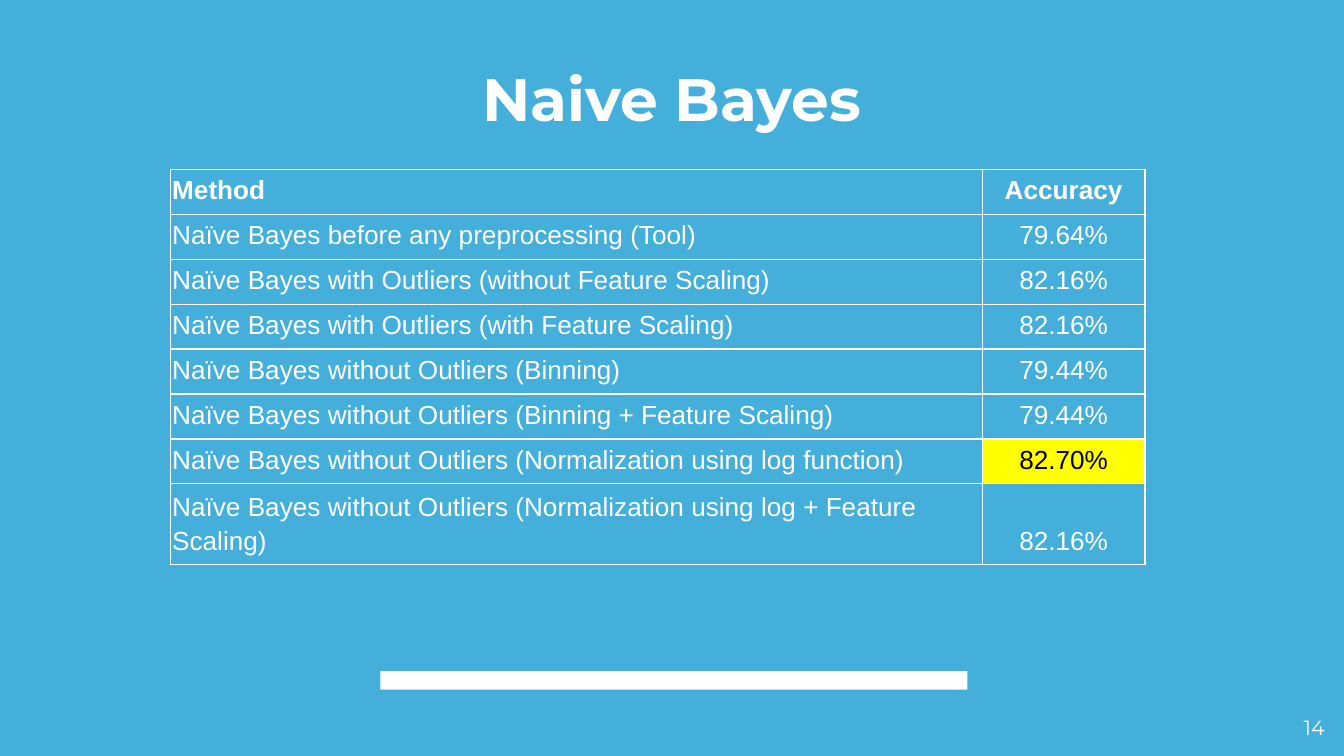
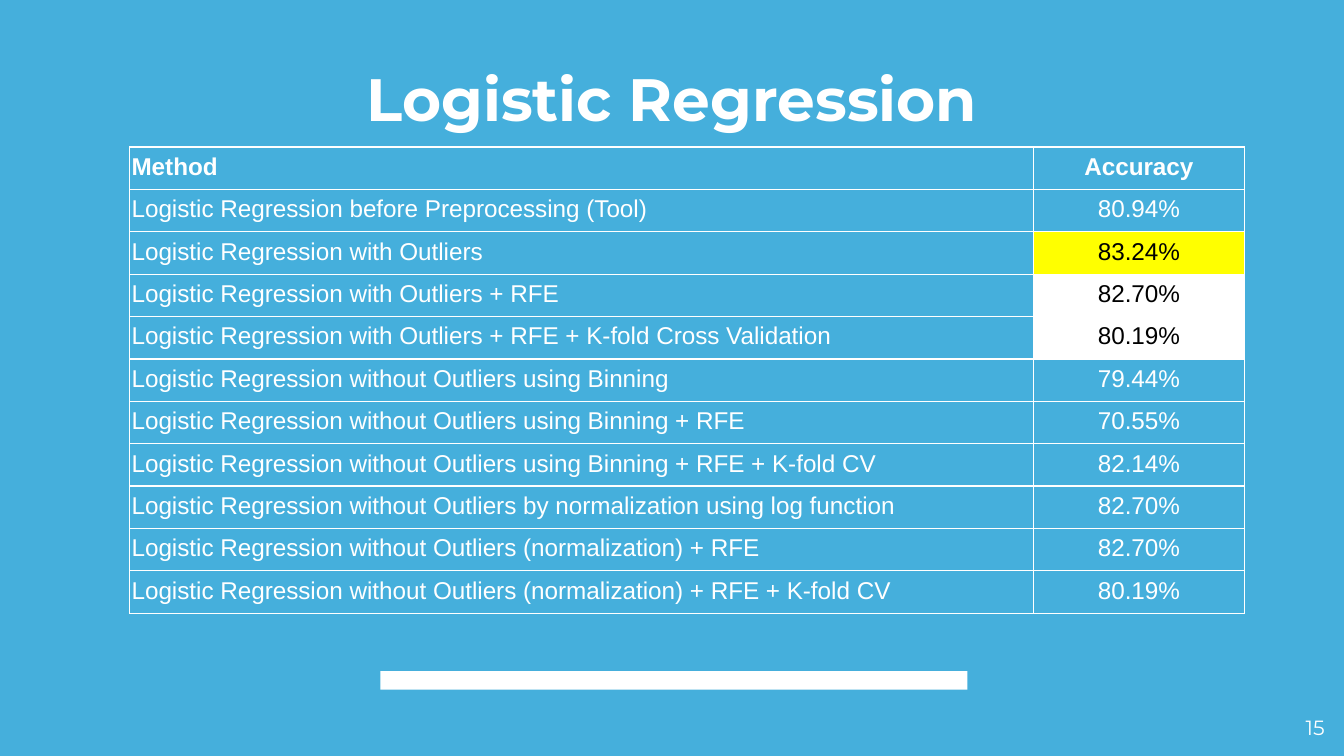
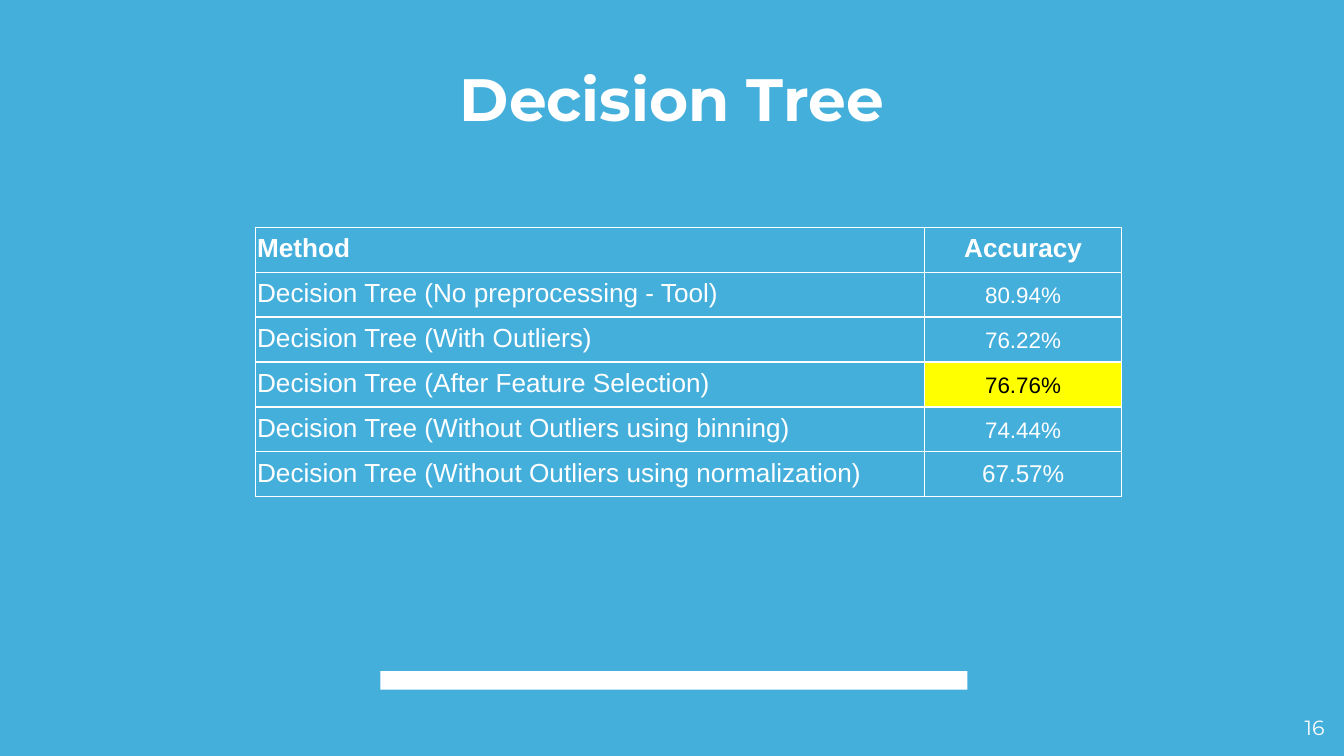
from dataclasses import dataclass

from lxml import etree
from pptx import Presentation
from pptx.dml.color import RGBColor
from pptx.enum.shapes import MSO_SHAPE
from pptx.enum.text import MSO_ANCHOR, PP_ALIGN
from pptx.oxml.ns import qn
from pptx.util import Pt

RECTANGLE = MSO_SHAPE.RECTANGLE
TOP, BOTTOM = MSO_ANCHOR.TOP, MSO_ANCHOR.BOTTOM
LEFT, CENTER, RIGHT, JUSTIFY = PP_ALIGN.LEFT, PP_ALIGN.CENTER, PP_ALIGN.RIGHT, PP_ALIGN.JUSTIFY

BLUE = RGBColor(0x45, 0xAF, 0xDC)
WHITE = RGBColor(0xFF, 0xFF, 0xFF)
BLACK = RGBColor(0x00, 0x00, 0x00)
YELLOW = RGBColor(0xFF, 0xFF, 0x00)

HEADING_FONT = "Montserrat"
TABLE_FONT = "Arial"
FIRST_PAGE_NUMBER = 14


@dataclass
class Result:
    """One method with its accuracy and the marking of its accuracy cell."""

    method: str
    accuracy: str
    fill: RGBColor = None
    size: float = None


@dataclass
class ResultTable:
    """The results for one classifier and the layout of their table."""

    title: str
    left: float
    top: float
    widths: tuple
    header_height: float
    row_height: float
    results: list
    size: float = 14
    accuracy_size: float = 14
    method_align: PP_ALIGN = LEFT


NAIVE_BAYES = ResultTable(
    "Naive Bayes", 91.25, 90.75, (435, 87.25), 8, 21,
    [
        Result("Naïve Bayes before any preprocessing (Tool)", "79.64%"),
        Result("Naïve Bayes with Outliers (without Feature Scaling)", "82.16%"),
        Result("Naïve Bayes with Outliers (with Feature Scaling)", "82.16%"),
        Result("Naïve Bayes without Outliers (Binning)", "79.44%"),
        Result("Naïve Bayes without Outliers (Binning + Feature Scaling)", "79.44%"),
        Result("Naïve Bayes without Outliers (Normalization using log function)", "82.70%", YELLOW),
        Result("Naïve Bayes without Outliers (Normalization using log + Feature Scaling)", "82.16%"),
    ],
)

LOGISTIC_REGRESSION = ResultTable(
    "Logistic Regression", 69.5, 78.75, (484, 113.25), 21, 21,
    [
        Result("Logistic Regression before Preprocessing (Tool)", "80.94%"),
        Result("Logistic Regression with Outliers", "83.24%", YELLOW),
        Result("Logistic Regression with Outliers + RFE", "82.70%", WHITE),
        Result("Logistic Regression with Outliers + RFE + K-fold Cross Validation", "80.19%", WHITE),
        Result("Logistic Regression without Outliers using Binning", "79.44%"),
        Result("Logistic Regression without Outliers using Binning + RFE", "70.55%"),
        Result("Logistic Regression without Outliers using Binning + RFE + K-fold CV", "82.14%"),
        Result("Logistic Regression without Outliers by normalization using log function", "82.70%"),
        Result("Logistic Regression without Outliers (normalization) + RFE", "82.70%"),
        Result("Logistic Regression without Outliers (normalization) + RFE + K-fold CV", "80.19%"),
    ],
    size=13, accuracy_size=13, method_align=JUSTIFY,
)

DECISION_TREE = ResultTable(
    "Decision Tree", 136.75, 121.75, (358.5, 105.75), 8, 11.5,
    [
        Result("Decision Tree (No preprocessing - Tool)", "80.94%"),
        Result("Decision Tree (With Outliers)", "76.22%"),
        Result("Decision Tree (After Feature Selection)", "76.76%", YELLOW),
        Result("Decision Tree (Without Outliers using binning)", "74.44%"),
        Result("Decision Tree (Without Outliers using normalization)", "67.57%", size=13),
    ],
    accuracy_size=12,
)


def write_text(frame, text, *, size, font, color=WHITE, bold=False, align=LEFT, line_spacing=1.0):
    """Write one formatted paragraph into a text frame."""
    para = frame.paragraphs[0]
    para.alignment = align
    para.line_spacing = line_spacing
    span = para.add_run()
    span.text = text
    span.font.size = Pt(size)
    span.font.name = font
    span.font.bold = bold
    span.font.color.rgb = color


def add_text_box(page, text, left, top, width, height, *, anchor=TOP, **style):
    """Add a wrapped text box with even insets."""
    box = page.shapes.add_textbox(Pt(left), Pt(top), Pt(width), Pt(height))
    frame = box.text_frame
    frame.word_wrap = True
    frame.vertical_anchor = anchor
    frame.margin_left = frame.margin_right = frame.margin_top = frame.margin_bottom = Pt(7.2)
    write_text(frame, text, font=HEADING_FONT, **style)


def add_bottom_bar(page):
    """Add the white bar below the content."""
    bar = page.shapes.add_shape(RECTANGLE, Pt(203.75), Pt(359.5), Pt(314.5), Pt(10))
    bar.shadow.inherit = False
    bar.fill.solid()
    bar.fill.fore_color.rgb = WHITE
    bar.line.fill.background()


def add_borders(cell):
    """Draw a thin white line on each side of a cell."""
    properties = cell._tc.get_or_add_tcPr()
    for side in ("a:lnL", "a:lnR", "a:lnT", "a:lnB"):
        line = etree.SubElement(properties, qn(side), w=str(Pt(0.75)))
        solid = etree.SubElement(line, qn("a:solidFill"))
        etree.SubElement(solid, qn("a:srgbClr"), val=str(WHITE))


def fill_cell(cell, text, *, fill=None, **style):
    """Format a table cell and write its text."""
    cell.margin_left = cell.margin_right = Pt(1)
    cell.margin_top = Pt(0)
    cell.margin_bottom = Pt(4.75)
    cell.vertical_anchor = BOTTOM
    add_borders(cell)
    if fill is None:
        cell.fill.background()
    else:
        cell.fill.solid()
        cell.fill.fore_color.rgb = fill
    color = WHITE if fill is None else BLACK
    write_text(cell.text_frame, text, font=TABLE_FONT, color=color, line_spacing=1.15, **style)


def add_result_table(page, content):
    """Add the table of methods and accuracies."""
    row_count = len(content.results) + 1
    height = content.header_height + content.row_height * len(content.results)
    table = page.shapes.add_table(
        row_count, 2, Pt(content.left), Pt(content.top), Pt(sum(content.widths)), Pt(height)
    ).table
    table.first_row = table.horz_banding = False
    for column, width in zip(table.columns, content.widths):
        column.width = Pt(width)
    for row in table.rows:
        row.height = Pt(content.row_height)
    table.rows[0].height = Pt(content.header_height)

    header = {"size": content.size, "bold": True}
    fill_cell(table.cell(0, 0), "Method", align=content.method_align, **header)
    fill_cell(table.cell(0, 1), "Accuracy", align=CENTER, **header)
    for index, result in enumerate(content.results, start=1):
        fill_cell(table.cell(index, 0), result.method, size=content.size, align=content.method_align)
        fill_cell(
            table.cell(index, 1), result.accuracy, fill=result.fill,
            size=result.size or content.accuracy_size, align=CENTER,
        )


def add_result_page(deck, content, number):
    """Add a slide with a title, a result table and a page number."""
    page = deck.slides.add_slide(deck.slide_layouts[6])
    page.background.fill.solid()
    page.background.fill.fore_color.rgb = BLUE
    add_bottom_bar(page)
    add_text_box(page, content.title, 36, 33.25, 648, 45.5,
                 anchor=BOTTOM, size=32, bold=True, align=CENTER)
    add_text_box(page, str(number), 673.75, 376.5, 43, 23, size=11, align=RIGHT)
    add_result_table(page, content)


def main():
    """Build the deck and save it."""
    deck = Presentation()
    deck.slide_width, deck.slide_height = Pt(720), Pt(405)
    pages = (NAIVE_BAYES, LOGISTIC_REGRESSION, DECISION_TREE)
    for number, content in enumerate(pages, start=FIRST_PAGE_NUMBER):
        add_result_page(deck, content, number)
    deck.save("out.pptx")


if __name__ == "__main__":
    main()
